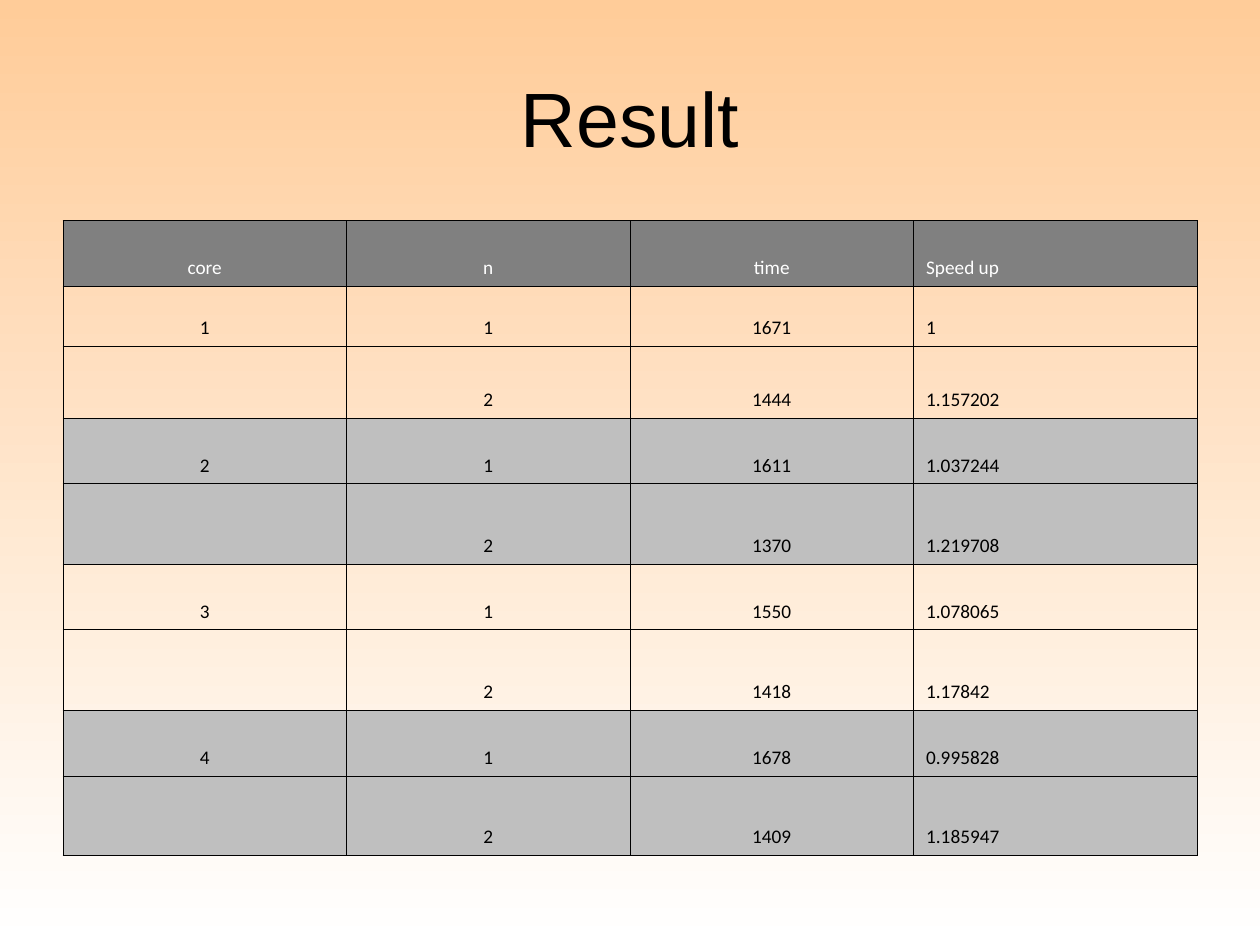
from pptx import Presentation
from pptx.dml.color import RGBColor
from pptx.enum.text import MSO_ANCHOR as Anchor, PP_ALIGN as Align
from pptx.oxml import parse_xml
from pptx.oxml.ns import nsdecls
from pptx.util import Inches, Pt


def color(hex_string):
    return RGBColor.from_string(hex_string)


def add_run(paragraph, text, font_name, size, hex_string):
    run = paragraph.add_run()
    run.text = text
    run.font.name = font_name
    run.font.size = Pt(size)
    run.font.color.rgb = color(hex_string)


presentation = Presentation()
presentation.slide_width = Inches(10)
presentation.slide_height = Inches(7.5)
slide = presentation.slides.add_slide(presentation.slide_layouts[6])

# Background: peach at the top fading to white
background = slide.background.fill
background.gradient()
background.gradient_angle = 270
for stop, position, shade in zip(background.gradient_stops, (0, 1), ("FFCC99", "FFFFFF")):
    stop.position = position
    stop.color.rgb = color(shade)

# Title
title = slide.shapes.add_textbox(Inches(0.5), Inches(0.3), Inches(9), Inches(1.25))
title.text_frame.word_wrap = True
title.text_frame.vertical_anchor = Anchor.MIDDLE
paragraph = title.text_frame.paragraphs[0]
paragraph.alignment = Align.CENTER
add_run(paragraph, "Result", "Arial", 44, "000000")

# Result table: two rows per core, every second core shaded
rows = [
    ("core", "n", "time", "Speed up"),
    ("1", "1", "1671", "1"),
    ("", "2", "1444", "1.157202"),
    ("2", "1", "1611", "1.037244"),
    ("", "2", "1370", "1.219708"),
    ("3", "1", "1550", "1.078065"),
    ("", "2", "1418", "1.17842"),
    ("4", "1", "1678", "0.995828"),
    ("", "2", "1409", "1.185947"),
]
row_heights = [0.52, 0.48, 0.57, 0.52, 0.64, 0.52, 0.64, 0.52, 0.63]
table = slide.shapes.add_table(
    len(rows), 4, Inches(0.5), Inches(1.75), Inches(9), Inches(sum(row_heights))
).table
table.first_row = False
table.horz_banding = False

for row_index, (values, height) in enumerate(zip(rows, row_heights)):
    table.rows[row_index].height = Inches(height)
    is_header = row_index == 0
    is_shaded = row_index > 0 and (row_index - 1) // 2 % 2 == 1
    for column_index, value in enumerate(values):
        cell = table.cell(row_index, column_index)
        cell.vertical_anchor = Anchor.BOTTOM

        # Thin black borders
        properties = cell._tc.get_or_add_tcPr()
        for side in ("lnL", "lnR", "lnT", "lnB"):
            properties.append(parse_xml(
                f'<a:{side} {nsdecls("a")} w="{Pt(0.45)}"><a:solidFill>'
                f'<a:srgbClr val="000000"/></a:solidFill></a:{side}>'
            ))

        # Fill
        if is_header or is_shaded:
            cell.fill.solid()
            cell.fill.fore_color.rgb = color("808080" if is_header else "BFBFBF")
        else:
            cell.fill.background()

        # Text
        if value:
            paragraph = cell.text_frame.paragraphs[0]
            paragraph.alignment = Align.LEFT if column_index == 3 else Align.CENTER
            add_run(paragraph, value, "Calibri", 11, "FFFFFF" if is_header else "000000")

presentation.save("out.pptx")
